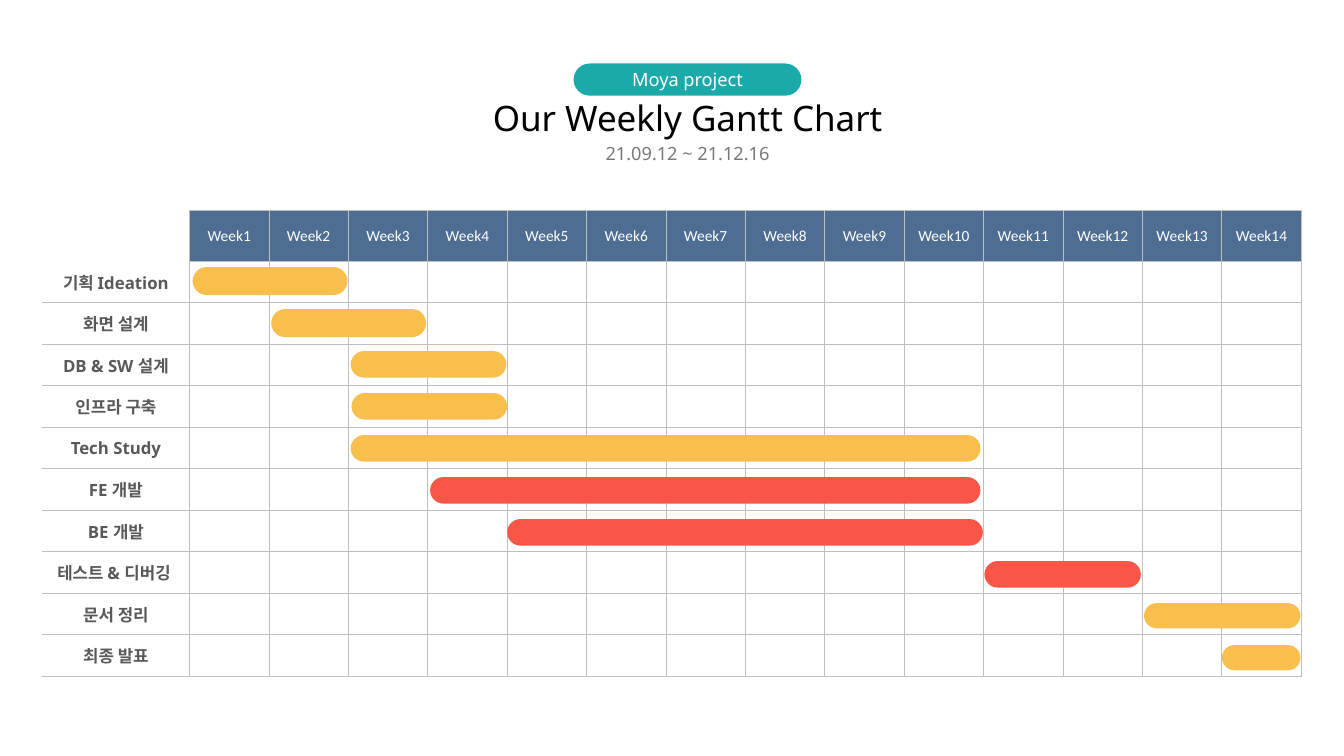
import pptx
import pptx.util
import pptx.dml.color
import pptx.enum.shapes
import pptx.enum.text
import pptx.oxml.ns
import lxml.etree

Pt = pptx.util.Pt
RGBColor = pptx.dml.color.RGBColor
MIDDLE = pptx.enum.text.MSO_ANCHOR.MIDDLE
TOP = pptx.enum.text.MSO_ANCHOR.TOP

WHITE = RGBColor(0xFF, 0xFF, 0xFF)
BLACK = RGBColor(0, 0, 0)
TEAL = RGBColor(0x1B, 0xAA, 0xAA)
DATE_GREY = RGBColor(0x79, 0x79, 0x79)
LABEL_GREY = RGBColor(0x59, 0x59, 0x59)
GRID_GREY = RGBColor(0xBF, 0xBF, 0xBF)
HEADER_BLUE = RGBColor(0x4D, 0x6D, 0x92)
YELLOW = RGBColor(0xF8, 0xBF, 0x4D)
RED = RGBColor(0xF9, 0x56, 0x48)

WEEKS = 14
LABEL_WIDTH = 105.12
HEADER_HEIGHT = 36
BAR_TOP = 40.3
BAR_PITCH = 30

# task, start and end in weeks, bar height, colour
TASKS = [
    ("기획 Ideation", 0.04, 1.99, 20, YELLOW),
    ("화면 설계", 1.03, 2.98, 20, YELLOW),
    ("DB & SW 설계", 2.03, 3.99, 19, YELLOW),
    ("인프라 구축", 2.04, 4, 19, YELLOW),
    ("Tech Study", 2.03, 9.96, 19, YELLOW),
    ("FE 개발", 3.03, 9.96, 19, RED),
    ("BE 개발", 4, 9.99, 19, RED),
    ("테스트 & 디버깅 ", 10.01, 11.98, 19, RED),
    ("문서 정리", 12.02, 13.99, 18, YELLOW),
    ("최종 발표", 13, 13.99, 18, YELLOW),
]


def write_text(text_frame, text, size, color, name="Noto Sans", bold=False):
    paragraph = text_frame.paragraphs[0]
    paragraph.text = text
    paragraph.alignment = pptx.enum.text.PP_ALIGN.CENTER
    paragraph.font.size = Pt(size)
    paragraph.font.name = name
    paragraph.font.bold = bold
    paragraph.font.color.rgb = color
    return paragraph


def set_margins(target, horizontal, vertical):
    target.margin_left = target.margin_right = Pt(horizontal)
    target.margin_top = target.margin_bottom = Pt(vertical)


def add_pill(slide, left, top, width, height, color):
    pill = slide.shapes.add_shape(
        pptx.enum.shapes.MSO_SHAPE.ROUNDED_RECTANGLE,
        Pt(left), Pt(top), Pt(width), Pt(height))
    pill.adjustments[0] = 0.5
    pill.shadow.inherit = False
    pill.fill.solid()
    pill.fill.fore_color.rgb = color
    pill.line.fill.background()
    return pill


def add_caption(slide, left, top, width, height, text, size, color, anchor):
    box = slide.shapes.add_textbox(Pt(left), Pt(top), Pt(width), Pt(height))
    text_frame = box.text_frame
    text_frame.word_wrap = True
    text_frame.vertical_anchor = anchor
    set_margins(text_frame, 9.36, 4.32)
    return write_text(text_frame, text, size, color)


def add_heading(slide, left, top, width):
    pill_width = 162.72
    pill = add_pill(slide, left + (width - pill_width) / 2, top, pill_width, 23, TEAL)
    pill.text_frame.vertical_anchor = MIDDLE
    set_margins(pill.text_frame, 3.6, 0)
    write_text(pill.text_frame, "Moya project", 13, WHITE)
    add_caption(slide, left, top + 23, width, 31.7,
                "Our Weekly Gantt Chart", 25, BLACK, MIDDLE)
    dates = add_caption(slide, left, top + 51.8, width, 28.8,
                        "21.09.12 ~ 21.12.16", 13, DATE_GREY, TOP)
    dates.space_before = Pt(3)


def set_borders(cell, visible_sides):
    properties = cell._tc.get_or_add_tcPr()
    qn = pptx.oxml.ns.qn
    for side in "LRTB":
        line = lxml.etree.SubElement(properties, qn("a:ln" + side), w=str(Pt(0.5)))
        if side in visible_sides:
            fill = lxml.etree.SubElement(line, qn("a:solidFill"))
            lxml.etree.SubElement(fill, qn("a:srgbClr"), val=str(GRID_GREY))
        else:
            lxml.etree.SubElement(line, qn("a:noFill"))


def visible_sides(row, column):
    if column:
        return "LRTB"
    return {0: "R", 1: "RB"}.get(row, "RTB")


def fill_cell(cell, row, column):
    set_borders(cell, visible_sides(row, column))
    is_header = row == 0 and column > 0
    if is_header:
        cell.fill.solid()
        cell.fill.fore_color.rgb = HEADER_BLUE
    else:
        cell.fill.background()
    if is_header or (row and not column):
        cell.vertical_anchor = MIDDLE
        set_margins(cell, 8.64, 4.32)
    if is_header:
        write_text(cell.text_frame, f"Week{column}", 11, WHITE, "Calibri")
    elif row and not column:
        write_text(cell.text_frame, TASKS[row - 1][0], 12, LABEL_GREY, bold=True)


def add_gantt(slide, left, top, width, height):
    frame = slide.shapes.add_table(len(TASKS) + 1, WEEKS + 1,
                                   Pt(left), Pt(top), Pt(width), Pt(height))
    table = frame.table
    table.first_row = False
    table.horz_banding = False
    week_width = (width - LABEL_WIDTH) / WEEKS
    task_height = (height - HEADER_HEIGHT) / len(TASKS)
    for index, column in enumerate(table.columns):
        column.width = Pt(week_width if index else LABEL_WIDTH)
    for index, row in enumerate(table.rows):
        row.height = Pt(task_height if index else HEADER_HEIGHT)
        for column_index, cell in enumerate(row.cells):
            fill_cell(cell, index, column_index)
    for index, (label, start, end, bar_height, color) in enumerate(TASKS):
        add_pill(slide, left + LABEL_WIDTH + start * week_width,
                 top + BAR_TOP + index * BAR_PITCH,
                 (end - start) * week_width, bar_height, color)


presentation = pptx.Presentation()
presentation.slide_width = Pt(960)
presentation.slide_height = Pt(540)
slide = presentation.slides.add_slide(presentation.slide_layouts[6])
add_gantt(slide, 30.24, 150.48, 899.28, 332.64)
add_heading(slide, 179, 45.36, 624.24)
presentation.save("out.pptx")
